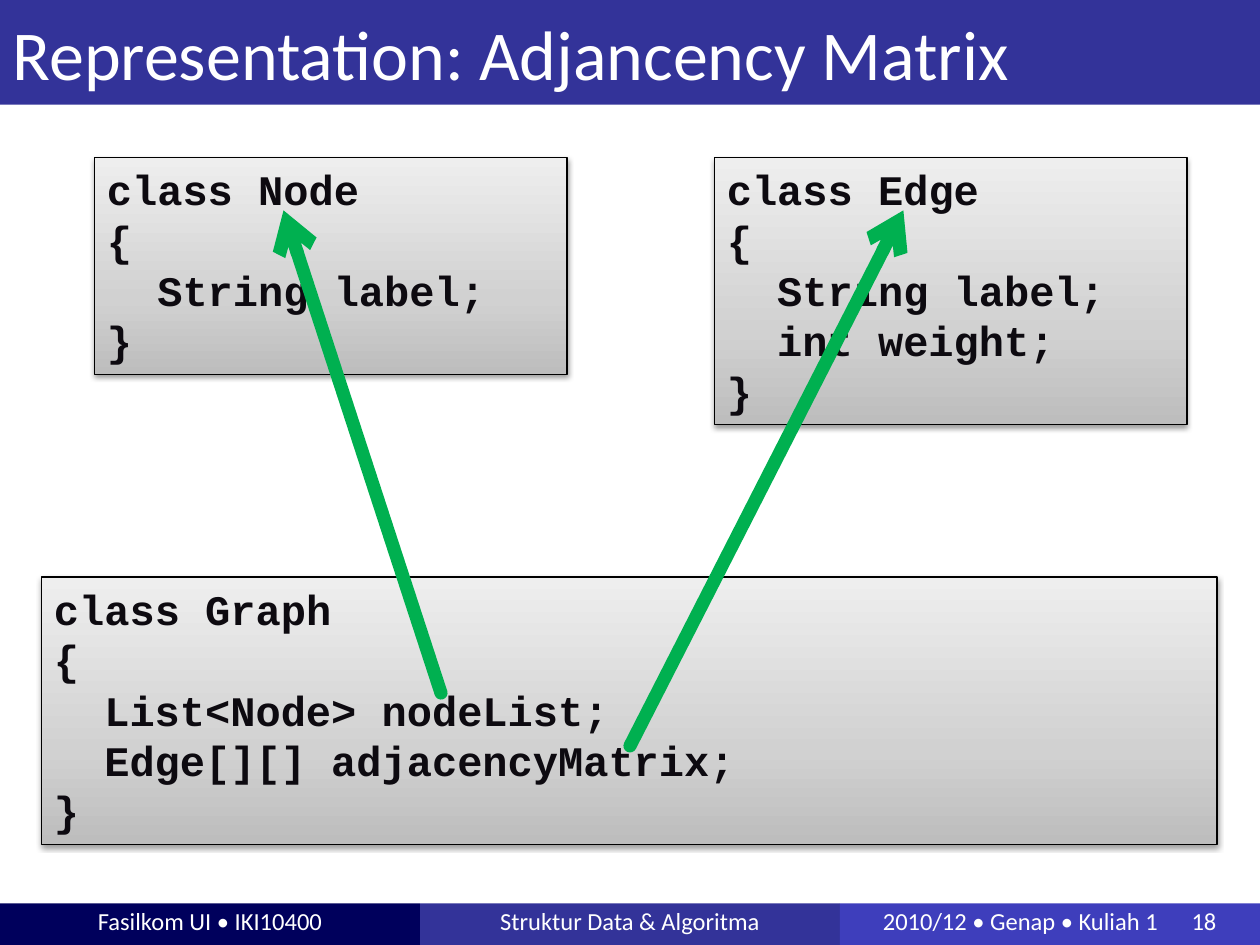
"""Build a slide on the adjacency matrix representation of a graph."""
import pptx
import pptx.dml.color
import pptx.enum.shapes
import pptx.enum.text
import pptx.oxml
import pptx.oxml.ns
import pptx.util
import lxml.etree

Inches = pptx.util.Inches
Pt = pptx.util.Pt
Align = pptx.enum.text.PP_ALIGN
Anchor = pptx.enum.text.MSO_ANCHOR
qn = pptx.oxml.ns.qn
HUES = {"navy": "00005C", "blue": "333399", "light": "3E3EBC", "white": "FFFFFF",
        "ink": "0D0A10", "black": "000000", "green": "00B050",
        "dark": "BDBDBD", "mid": "D1D1D1", "pale": "EEEEEE"}


def paint(name):
    return pptx.dml.color.RGBColor.from_string(HUES[name])


def sub(node, tag, **attrs):
    return lxml.etree.SubElement(node, qn(tag), attrs)


def write(frame, text, font="Calibri", size=14, hue="white", bold=False,
          align=Align.LEFT, anchor=Anchor.MIDDLE, step=0):
    frame.word_wrap = True
    frame.auto_size = pptx.enum.text.MSO_AUTO_SIZE.NONE
    frame.vertical_anchor = anchor
    for i, line in enumerate(text.split("\n")):
        para = frame.paragraphs[0] if i == 0 else frame.add_paragraph()
        para.alignment = align
        bare = line.lstrip(">")
        depth = len(line) - len(bare)
        if depth:
            props = para._p.get_or_add_pPr()
            props.set("marL", str(Inches(step * depth)))
            props.set("indent", "0")
        run = para.add_run()
        run.text = bare
        run.font.name, run.font.size, run.font.bold = font, Pt(size), bold
        run.font.color.rgb = paint(hue)


class Deck:
    def __init__(self):
        self.file = pptx.Presentation()
        self.file.slide_width, self.file.slide_height = Inches(10), Inches(7.5)
        self.slide = self.file.slides.add_slide(self.file.slide_layouts[5])

    def title(self, text):
        head = self.slide.shapes.title
        head.left, head.top = Inches(0), Inches(0)
        head.width, head.height = Inches(10), Inches(0.83)
        head.fill.solid()
        head.fill.fore_color.rgb = paint("blue")
        write(head.text_frame, text, size=40)

    def box(self, left, top, width, height):
        kind = pptx.enum.shapes.MSO_SHAPE.RECTANGLE
        return self.slide.shapes.add_shape(
            kind, Inches(left), Inches(top), Inches(width), Inches(height))

    def band(self, index, text, hue, tab=None):
        width = 10 / 3
        cell = self.box(index * width, 7.17, width, 0.33)
        cell.shadow.inherit = False
        cell.fill.solid()
        cell.fill.fore_color.rgb = paint(hue)
        cell.line.fill.background()
        frame = cell.text_frame
        frame.margin_top, frame.margin_bottom = Inches(0), Inches(0.05)
        write(frame, text, align=Align.LEFT if tab else Align.CENTER)
        if tab:
            frame.margin_left = Inches(0.34)
            props = frame.paragraphs[0]._p.get_or_add_pPr()
            sub(sub(props, "a:tabLst"), "a:tab", pos=str(Inches(tab)), algn="l")

    def code(self, text, left, top, width, height):
        card = self.box(left, top, width, height)
        props = card._element.spPr
        grad = sub(props, "a:gradFill", rotWithShape="1")
        stops = sub(grad, "a:gsLst")
        for spot, hue in ((0, "dark"), (35, "mid"), (100, "pale")):
            sub(sub(stops, "a:gs", pos=str(spot * 1000)), "a:srgbClr", val=HUES[hue])
        sub(grad, "a:lin", ang="16200000", scaled="1")
        card.line.color.rgb = paint("black")
        card.line.width = Pt(0.75)
        shade = sub(sub(props, "a:effectLst"), "a:outerShdw", blurRad=str(Pt(3.1)),
                    dist=str(Pt(1.6)), dir="5400000", rotWithShape="0")
        sub(sub(shade, "a:srgbClr", val=HUES["black"]), "a:alpha", val="38000")
        write(card.text_frame, text, font="Courier New", size=24, hue="ink",
              bold=True, anchor=Anchor.TOP, step=0.4)

    def arrow(self, start, end):
        kind = pptx.enum.shapes.MSO_CONNECTOR.STRAIGHT
        link = self.slide.shapes.add_connector(kind, *map(Inches, start + end))
        link.line.color.rgb = paint("green")
        link.line.width = Pt(7.5)
        props = link._element.spPr
        stroke = props.find(qn("a:ln"))
        stroke.set("cap", "rnd")
        sub(stroke, "a:tailEnd", type="arrow")
        sub(props, "a:effectLst")


def main():
    deck = Deck()
    deck.band(0, "Fasilkom UI • IKI10400", "navy")
    deck.band(1, "Struktur Data & Algoritma", "blue")
    deck.band(2, "2010/12 • Genap • Kuliah 1\t18", "light", tab=2.45)
    deck.title("Representation: Adjancency Matrix")
    deck.code("class Edge\n{\n>String label;\n>int weight;\n}", 5.67, 1.25, 3.75, 2.12)
    deck.code("class Node\n{\n>String label;\n}", 0.75, 1.25, 3.75, 1.72)
    deck.code("class Graph\n{\n>List<Node> nodeList;\n>Edge[][] adjacencyMatrix;\n}",
              0.33, 4.58, 9.33, 2.12)
    deck.arrow((5, 5.92), (7.17, 1.67))
    deck.arrow((3.5, 5.5), (2.25, 1.67))
    deck.file.save("out.pptx")


if __name__ == "__main__":
    main()
